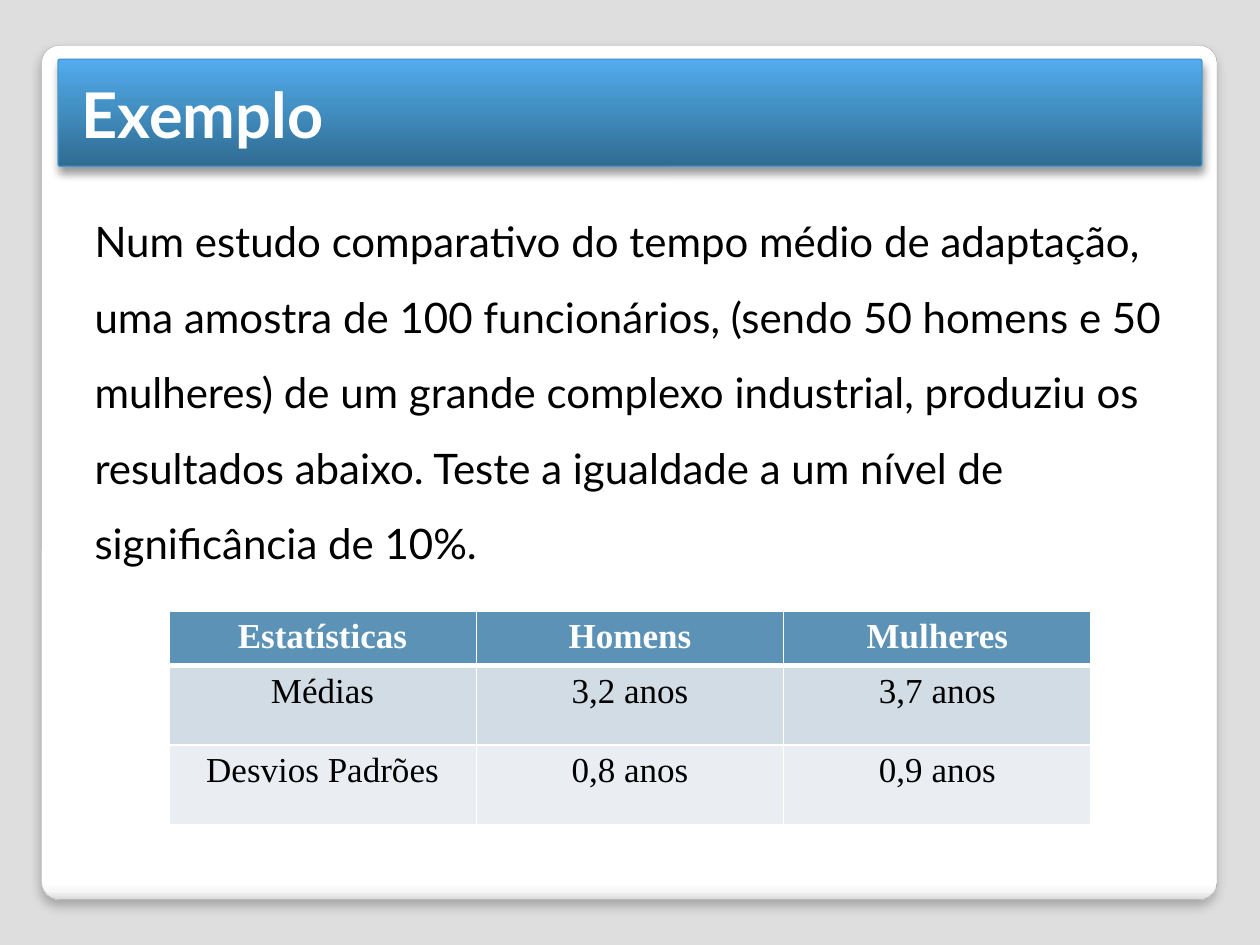
from lxml.etree import SubElement
from pptx import Presentation
from pptx.dml.color import RGBColor
from pptx.enum.shapes import MSO_SHAPE
from pptx.enum.text import MSO_ANCHOR, PP_ALIGN
from pptx.oxml import parse_xml
from pptx.oxml.ns import nsdecls, qn
from pptx.util import Inches, Pt

BACKDROP = RGBColor(0xDE, 0xDE, 0xDE)
PANEL_EDGE = RGBColor(0xA4, 0xA4, 0xA4)
BANNER_EDGE = RGBColor(0x46, 0x97, 0xCB)
WHITE = RGBColor(0xFF, 0xFF, 0xFF)
BLACK = RGBColor(0x00, 0x00, 0x00)
HEADER_FILL = RGBColor(0x5C, 0x92, 0xB5)
BAND_FILLS = [RGBColor(0xD2, 0xDC, 0xE5), RGBColor(0xEA, 0xEE, 0xF3)]

PANEL_STOPS = [(0, "FFFFFF"), (98, "FFFFFF"), (99, "F7F7F7"), (100, "DADADA")]
BANNER_STOPS = [(0, "306B91"), (60, "4493C7"), (100, "53ACF0")]

deck = Presentation()
deck.slide_width, deck.slide_height = Inches(10), Inches(7.5)
page = deck.slides.add_slide(deck.slide_layouts[6])
page.background.fill.solid()
page.background.fill.fore_color.rgb = BACKDROP


def add_text(frame, text, font, size, color, bold=False):
    """Write one run in the first paragraph and return that paragraph."""
    para = frame.paragraphs[0]
    span = para.add_run()
    span.text = text
    span.font.name, span.font.size = font, Pt(size)
    span.font.bold, span.font.color.rgb = bold, color
    return para


# Panel and title banner: left, top, width, height, gradient, edge, shadow
plates = [
    (0.33, 0.36, 9.33, 6.78, PANEL_STOPS, 90, PANEL_EDGE, 0.16, (25, 6, 4)),
    (0.46, 0.47, 9.08, 0.85, BANNER_STOPS, 270, BANNER_EDGE, 0.75, (40, 5.2, 3)),
]
for left, top, width, height, stops, angle, edge, weight, shadow in plates:
    plate = page.shapes.add_shape(MSO_SHAPE.ROUNDED_RECTANGLE, Inches(left),
                                  Inches(top), Inches(width), Inches(height))
    plate.adjustments[0] = 0.021
    plate.line.color.rgb, plate.line.width = edge, Pt(weight)
    plate.shadow.inherit = False
    stop_xml = "".join(f'<a:gs pos="{share * 1000}"><a:srgbClr val="{color}"/></a:gs>'
                       for share, color in stops)
    plate.line._get_or_add_ln().addprevious(parse_xml(
        f'<a:gradFill {nsdecls("a")} rotWithShape="1"><a:gsLst>{stop_xml}</a:gsLst>'
        f'<a:lin ang="{angle * 60000}" scaled="0"/></a:gradFill>'))
    opacity, blur, distance = shadow
    effects = plate._element.spPr.find(qn("a:effectLst"))
    effects.append(parse_xml(
        f'<a:outerShdw {nsdecls("a")} blurRad="{Pt(blur)}" dist="{Pt(distance)}" '
        f'dir="5400000" algn="t" rotWithShape="0"><a:srgbClr val="000000">'
        f'<a:alpha val="{opacity * 1000}"/></a:srgbClr></a:outerShdw>'))

title = page.shapes.add_textbox(Inches(0.55), Inches(0.47), Inches(8.95), Inches(0.86))
title.text_frame.word_wrap = True
title.text_frame.vertical_anchor = MSO_ANCHOR.MIDDLE
add_text(title.text_frame, "Exemplo", "Lato", 36, WHITE, bold=True)

body = page.shapes.add_textbox(Inches(0.55), Inches(1.41), Inches(8.95), Inches(5.31))
body.text_frame.word_wrap = True
body.text_frame.margin_left = Inches(0.2)
body.text_frame.margin_top = Inches(0.1)
para = add_text(
    body.text_frame,
    "Num estudo comparativo do tempo médio de adaptação, uma amostra de 100 "
    "funcionários, (sendo 50 homens e 50 mulheres) de um grande complexo industrial, "
    "produziu os resultados abaixo. Teste a igualdade a um nível de significância "
    "de 10%.", "Lato", 24, BLACK)
para.line_spacing = 1.5

statistics = [
    ["Estatísticas", "Homens", "Mulheres"],
    ["Médias", "3,2 anos", "3,7 anos"],
    ["Desvios Padrões", "0,8 anos", "0,9 anos"],
]
row_heights = [0.4, 0.63, 0.63]
table = page.shapes.add_table(3, 3, Inches(1.34), Inches(4.85), Inches(7.32),
                              Inches(sum(row_heights))).table
for row, (labels, height) in enumerate(zip(statistics, row_heights)):
    header = row == 0
    table.rows[row].height = Inches(height)
    for column, label in enumerate(labels):
        cell = table.cell(row, column)
        para = add_text(cell.text_frame, label, "Times New Roman", 20,
                        WHITE if header else BLACK, bold=header)
        para.alignment = PP_ALIGN.CENTER
        properties = cell._tc.get_or_add_tcPr()
        for side in ("lnL", "lnR", "lnT", "lnB"):
            thick = (row, side) in [(0, "lnB"), (1, "lnT")]
            border = SubElement(properties, qn(f"a:{side}"), w=str(Pt(3 if thick else 1)))
            SubElement(SubElement(border, qn("a:solidFill")), qn("a:srgbClr"),
                       val=str(WHITE))
        cell.fill.solid()
        cell.fill.fore_color.rgb = HEADER_FILL if header else BAND_FILLS[row - 1]

deck.save("out.pptx")
